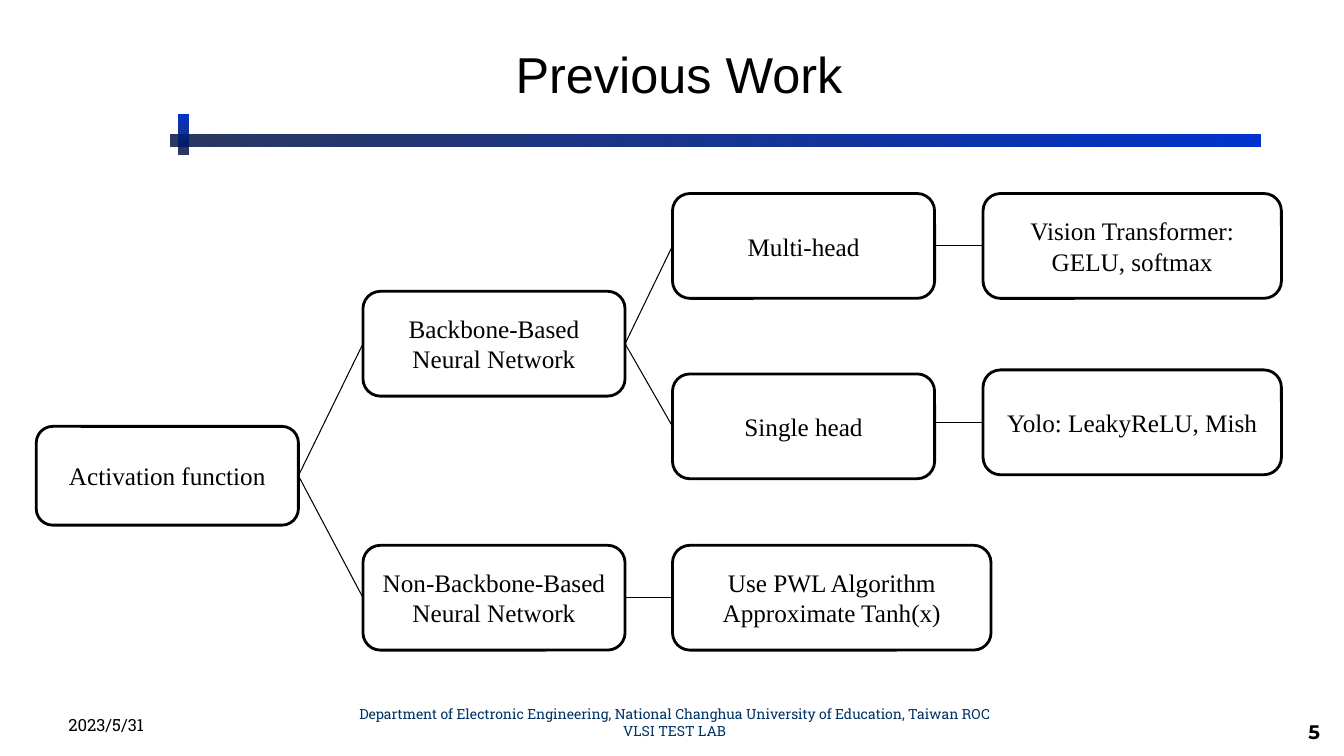
from dataclasses import dataclass

from lxml import etree
from pptx import Presentation
from pptx.dml.color import RGBColor
from pptx.enum import shapes, text
from pptx.oxml.ns import qn
from pptx.util import Inches, Pt


@dataclass(frozen=True)
class Theme:
    ink: RGBColor = RGBColor(0, 0, 0)
    paper: RGBColor = RGBColor(255, 255, 255)
    accent: RGBColor = RGBColor(0x00, 0x33, 0xCC)
    accent_dark: RGBColor = RGBColor(0x00, 0x10, 0x40)
    footer: RGBColor = RGBColor(0x00, 0x33, 0x66)
    title_font: str = "Arial"
    node_font: str = "Times New Roman"
    footer_font: str = "Roboto Slab"
    number_font: str = "Montserrat"
    title_size: float = 36
    node_size: float = 18
    number_size: float = 14
    date_size: float = 12
    footer_size: float = 10
    node_line: float = 2
    link_line: float = 0.75


THEME = Theme()
ALIGN = text.PP_ALIGN
ANCHOR = text.MSO_ANCHOR
RIGHT_SITE, LEFT_SITE = 3, 1

# Columns are (left, width); nodes are (column, top, height, wording)
COLUMNS = {
    "root": (0.36, 2.6),
    "network": (3.6, 2.6),
    "head": (6.67, 2.6),
    "method": (6.67, 3.16),
    "example": (9.75, 2.96),
}
NODES = {
    "activation": ("root", 4.23, 0.98, "Activation function"),
    "backbone": ("network", 2.89, 1.04, "Backbone-Based\nNeural Network"),
    "non_backbone": ("network", 5.41, 1.04, "Non-Backbone-Based\nNeural Network"),
    "multi": ("head", 1.92, 1.04, "Multi-head"),
    "single": ("head", 3.71, 1.04, "Single head"),
    "pwl": ("method", 5.41, 1.04, "Use PWL Algorithm\nApproximate Tanh(x)"),
    "transformer": ("example", 1.92, 1.04, "Vision Transformer: GELU, softmax"),
    "yolo": ("example", 3.67, 1.04, "Yolo: LeakyReLU, Mish"),
}
LINKS = [
    ("activation", "backbone"),
    ("activation", "non_backbone"),
    ("backbone", "multi"),
    ("backbone", "single"),
    ("non_backbone", "pwl"),
    ("multi", "transformer"),
    ("single", "yolo"),
]


def write(shape, wording, font, size, color, align, anchor, bold=False):
    frame = shape.text_frame
    frame.word_wrap = True
    frame.vertical_anchor = anchor
    frame.text = wording
    for paragraph in frame.paragraphs:
        paragraph.alignment = align
        for run in paragraph.runs:
            run.font.name = font
            run.font.size = Pt(size)
            run.font.bold = bold
            run.font.color.rgb = color


def add_label(slide, box, *style, **options):
    label = slide.shapes.add_textbox(*map(Inches, box))
    write(label, *style, **options)


def add_gradient_bar(slide, box, angle):
    """Bar fading from the accent to its slightly transparent dark shade."""
    bar = slide.shapes.add_shape(shapes.MSO_SHAPE.RECTANGLE, *map(Inches, box))
    bar.shadow.inherit = False
    bar.line.fill.background()
    bar.fill.gradient()
    bar.fill.gradient_angle = angle
    stops = bar.fill.gradient_stops
    for stop, position, color in zip(stops, (0, 1), (THEME.accent, THEME.accent_dark)):
        stop.position = position
        stop.color.rgb = color
    dark = bar._element.spPr.findall(".//" + qn("a:srgbClr"))[-1]
    etree.SubElement(dark, qn("a:alpha"), val="83000")


def add_header(slide, left, top):
    add_gradient_bar(slide, (left, top + 0.19, 10.81, 0.12), 180)
    add_gradient_bar(slide, (left + 0.08, top, 0.1, 0.39), 270)
    add_label(slide, (left - 0.32, top - 1.06, 10.73, 1.3), "Previous Work",
              THEME.title_font, THEME.title_size, THEME.ink, ALIGN.CENTER, ANCHOR.MIDDLE)


def add_footer(slide, left, top):
    add_label(slide, (left + 0.07, top, 12.08, 0.68),
              "Department of Electronic Engineering, National Changhua University of "
              "Education, Taiwan ROC\nVLSI TEST LAB",
              THEME.footer_font, THEME.footer_size, THEME.footer, ALIGN.CENTER, ANCHOR.MIDDLE)
    add_label(slide, (left + 9.51, top + 0.1, 3.1, 0.49), "5", THEME.number_font,
              THEME.number_size, THEME.ink, ALIGN.RIGHT, ANCHOR.BOTTOM, bold=True)
    add_label(slide, (left, top, 3.1, 0.51), "2023/5/31", THEME.footer_font,
              THEME.date_size, THEME.ink, ALIGN.LEFT, ANCHOR.BOTTOM)


def add_node(slide, column, top, height, wording):
    left, width = COLUMNS[column]
    node = slide.shapes.add_shape(shapes.MSO_SHAPE.ROUNDED_RECTANGLE,
                                  *map(Inches, (left, top, width, height)))
    node.shadow.inherit = False
    node.fill.solid()
    node.fill.fore_color.rgb = THEME.paper
    node.line.color.rgb = THEME.ink
    node.line.width = Pt(THEME.node_line)
    write(node, wording, THEME.node_font, THEME.node_size, THEME.ink,
          ALIGN.CENTER, ANCHOR.MIDDLE)
    return node


def add_link(slide, parent, child):
    """Join parent to child; a nearly level link is drawn level with the child."""
    parent_y = parent.top + parent.height // 2
    child_y = child.top + child.height // 2
    level = abs(parent_y - child_y) < Inches(0.1)
    link = slide.shapes.add_connector(
        shapes.MSO_CONNECTOR.STRAIGHT, parent.left + parent.width,
        child_y if level else parent_y, child.left, child_y)
    if not level:
        link.begin_connect(parent, RIGHT_SITE)
        link.end_connect(child, LEFT_SITE)
    link.line.color.rgb = THEME.ink
    link.line.width = Pt(THEME.link_line)
    etree.SubElement(link._element.spPr, qn("a:effectLst"))


def add_tree(slide):
    nodes = {key: add_node(slide, *node) for key, node in NODES.items()}
    for parent, child in LINKS:
        add_link(slide, nodes[parent], nodes[child])


def main():
    deck = Presentation()
    deck.slide_width, deck.slide_height = Inches(13.33), Inches(7.5)
    slide = deck.slides.add_slide(deck.slide_layouts[6])
    add_header(slide, 1.69, 1.14)
    add_footer(slide, 0.58, 6.83)
    add_tree(slide)
    deck.save("out.pptx")


if __name__ == "__main__":
    main()
